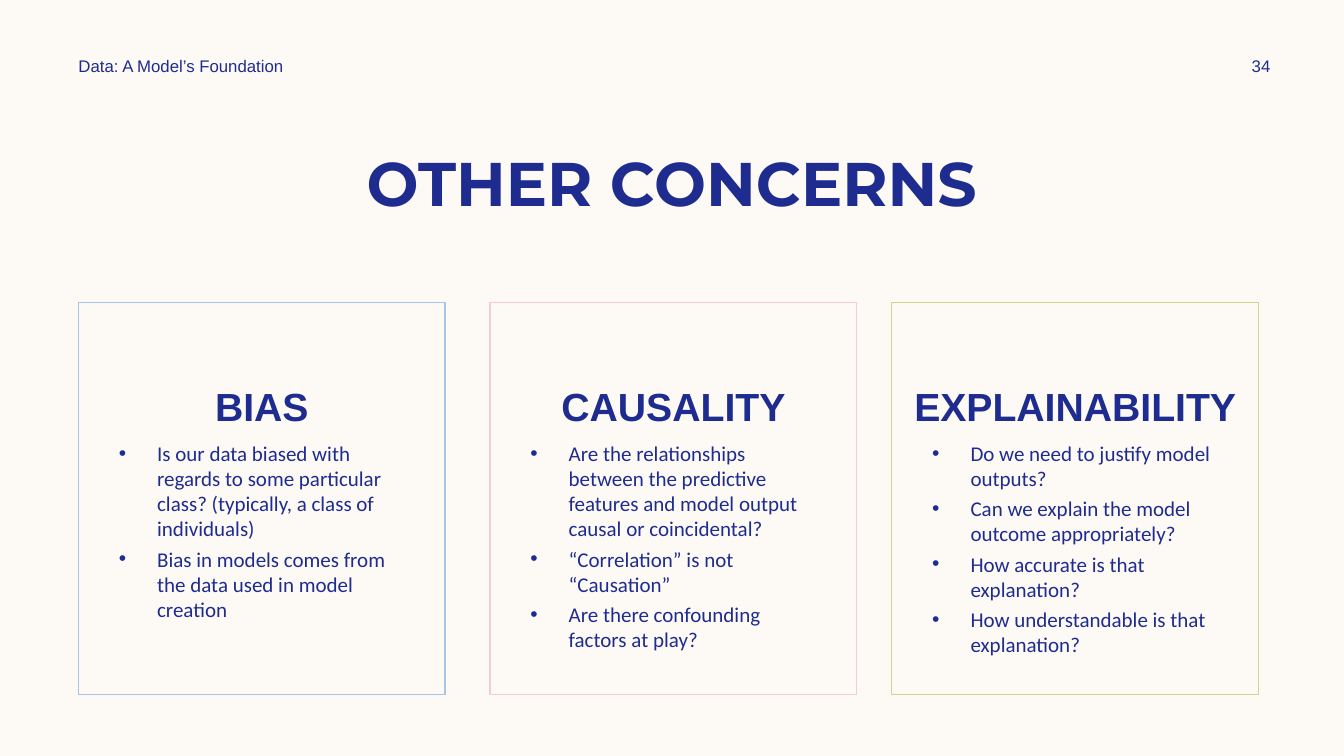
from dataclasses import dataclass

from lxml import etree
from pptx import Presentation
from pptx.dml.color import RGBColor
from pptx.enum.shapes import MSO_SHAPE
from pptx.enum.text import MSO_ANCHOR, MSO_AUTO_SIZE, PP_ALIGN
from pptx.oxml.ns import qn
from pptx.slide import Slide
from pptx.text.text import Font, TextFrame
from pptx.util import Pt

RECT = MSO_SHAPE.RECTANGLE
TOP, MIDDLE, BOTTOM = MSO_ANCHOR.TOP, MSO_ANCHOR.MIDDLE, MSO_ANCHOR.BOTTOM
LEFT, CENTER = PP_ALIGN.LEFT, PP_ALIGN.CENTER
NO_FIT = MSO_AUTO_SIZE.NONE

CREAM = RGBColor(0xFD, 0xFA, 0xF6)
NAVY = RGBColor(0x1F, 0x2C, 0x8F)
BLUE = RGBColor(0xAA, 0xC3, 0xE8)
PINK = RGBColor(0xF5, 0xCD, 0xCE)
GREEN = RGBColor(0xD2, 0xD5, 0x92)

CARD_TOP, CARD_W, CARD_H = 216, 262, 280
LIST_DX, LIST_TOP, LIST_W, LIST_H = 21.8, 311, 218, 173.5
INDENT = 27.36


@dataclass
class Card:
    left: float
    color: RGBColor
    head: str
    points: list[str]


@dataclass
class Label:
    left: float
    width: float
    text: str
    align: PP_ALIGN


CARDS = [
    Card(56, BLUE, "BIAS", [
        "Is our data biased with regards to some particular class? "
        "(typically, a class of individuals)",
        "Bias in models comes from the data used in model creation",
    ]),
    Card(350, PINK, "CAUSALITY", [
        "Are the relationships between the predictive features "
        "and model output causal or coincidental?",
        "“Correlation” is not “Causation”",
        "Are there confounding factors at play?",
    ]),
    Card(637, GREEN, "EXPLAINABILITY", [
        "Do we need to justify model outputs?",
        "Can we explain the model outcome appropriately?",
        "How accurate is that explanation?",
        "How understandable is that explanation?",
    ]),
]

LABELS = [
    Label(49, 252, "Data: A Model’s Foundation", LEFT),
    Label(862, 77.6, "34", CENTER),
]


def style(font: Font, name: str, size: float, bold: bool = False) -> None:
    font.name, font.size, font.bold = name, Pt(size), bold
    font.color.rgb = NAVY


def set_line(frame: TextFrame, text: str, align: PP_ALIGN, anchor: MSO_ANCHOR,
             name: str, size: float, bold: bool = False) -> None:
    """Fill a frame with one styled paragraph."""
    frame.text = text
    frame.word_wrap = True
    frame.auto_size = NO_FIT
    frame.vertical_anchor = anchor
    line = frame.paragraphs[0]
    line.alignment = align
    style(line.runs[0].font, name, size, bold)


def add_title(slide: Slide) -> None:
    title = slide.shapes.title
    title.left, title.top = Pt(60), Pt(97)
    title.width, title.height = Pt(840), Pt(60.5)
    title.text_frame.margin_bottom = Pt(1.5)
    set_line(title.text_frame, "OTHER CONCERNS", CENTER, BOTTOM,
             "Montserrat", 44, True)


def add_label(slide: Slide, label: Label) -> None:
    box = slide.shapes.add_textbox(
        Pt(label.left), Pt(36), Pt(label.width), Pt(21.6))
    set_line(box.text_frame, label.text, label.align, MIDDLE, "Arial", 12)


def add_list(slide: Slide, left: float, points: list[str]) -> None:
    box = slide.shapes.add_textbox(
        Pt(left), Pt(LIST_TOP), Pt(LIST_W), Pt(LIST_H))
    frame = box.text_frame
    frame.word_wrap = True
    frame.text = "\n".join(points)
    for i, item in enumerate(frame.paragraphs):
        props = item._p.get_or_add_pPr()
        props.set("marL", str(Pt(INDENT)))
        props.set("indent", str(-Pt(INDENT)))
        item.space_before = Pt(3.6 if i else 0)
        etree.SubElement(props, qn("a:buFont")).set("typeface", "Arial")
        etree.SubElement(props, qn("a:buChar")).set("char", "•")
        style(item.runs[0].font, "Calibri", 15)


def add_card(slide: Slide, card: Card) -> None:
    box = slide.shapes.add_shape(
        RECT, Pt(card.left), Pt(CARD_TOP), Pt(CARD_W), Pt(CARD_H))
    box.shadow.inherit = False
    box.fill.background()
    box.line.color.rgb = card.color
    box.line.width = Pt(1)
    box.text_frame.margin_top = Pt(57)
    set_line(box.text_frame, card.head, CENTER, TOP, "Arial", 28, True)
    add_list(slide, card.left + LIST_DX, card.points)


def main() -> None:
    deck = Presentation()
    deck.slide_width, deck.slide_height = Pt(960), Pt(540)
    slide = deck.slides.add_slide(deck.slide_layouts.get_by_name("Title Only"))
    slide.background.fill.solid()
    slide.background.fill.fore_color.rgb = CREAM
    add_title(slide)
    for label in LABELS:
        add_label(slide, label)
    for card in CARDS:
        add_card(slide, card)
    deck.save("out.pptx")


if __name__ == "__main__":
    main()
